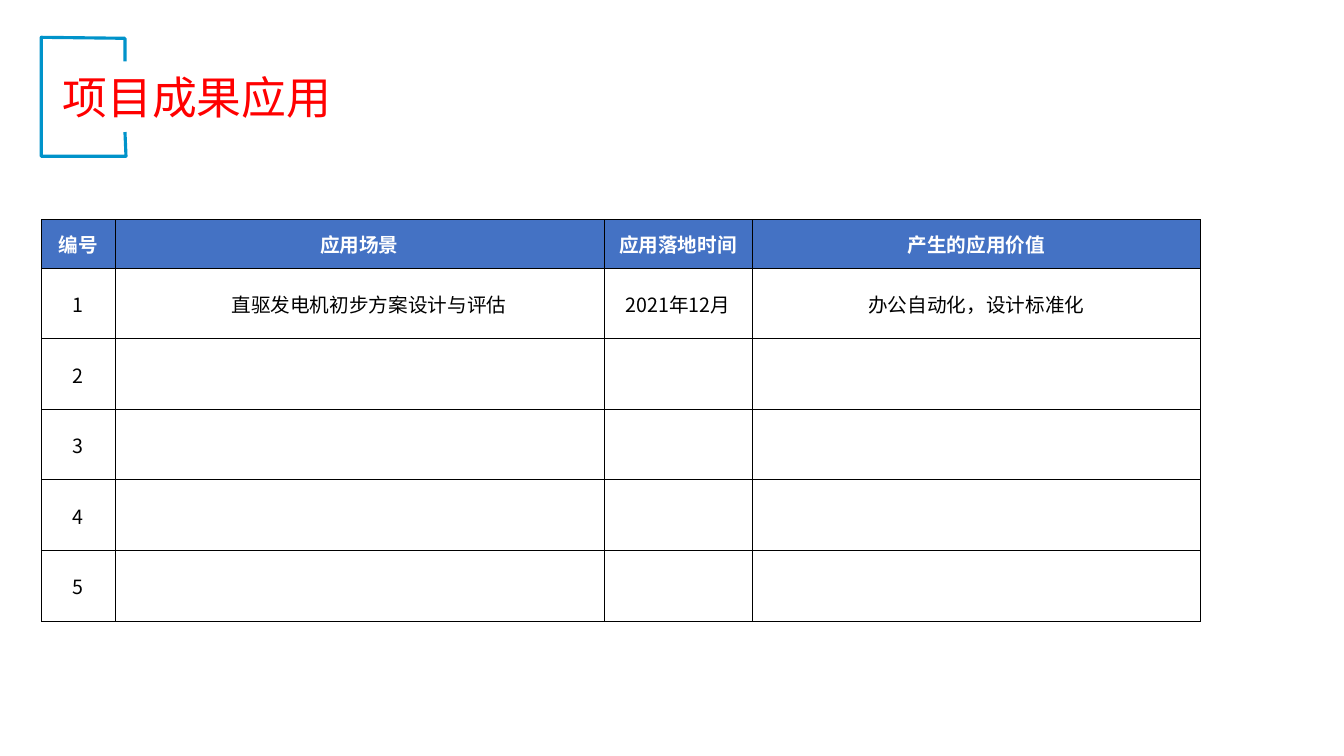
from lxml.etree import SubElement
from pptx import Presentation
from pptx.dml.color import RGBColor
from pptx.enum.text import MSO_ANCHOR, PP_ALIGN
from pptx.oxml.ns import qn
from pptx.util import Inches, Pt

# Content
FONT = "Noto Sans CJK SC"
TITLE = "项目成果应用"
HEADERS = ["编号", "应用场景", "应用落地时间", "产生的应用价值"]
APPLICATIONS = [("直驱发电机初步方案设计与评估", "2021年12月", "办公自动化，设计标准化")]
ROW_COUNT = 5

# Layout in inches
LEFT = 0.41
TABLE_TOP = 2.18
COLUMN_WIDTHS = [0.73, 4.85, 1.47, 4.45]
HEADER_HEIGHT, ROW_HEIGHT = 0.48, 0.7
SCENARIO_INDENT = 0.2
FRAME_POINTS = [(1.24, 1.31), (1.25, 1.55), (LEFT, 1.55),
                (LEFT, 0.37), (1.24, 0.38), (1.24, 0.61)]


def color(value):
    return RGBColor.from_string(value)


def add_text(para, text, size, text_color, bold=False):
    span = para.add_run()
    span.text = text
    span.font.size = Pt(size)
    span.font.bold = bold
    span.font.name = FONT
    span.font.color.rgb = color(text_color)
    SubElement(span.font._element, qn("a:ea"), typeface=FONT)


def add_borders(cell, top_width):
    properties = cell._tc.get_or_add_tcPr()
    for side, width in (("L", 0.5), ("R", 0.5), ("T", top_width), ("B", 0.5)):
        line = SubElement(properties, qn(f"a:ln{side}"), w=str(Pt(width)))
        fill = SubElement(line, qn("a:solidFill"))
        SubElement(fill, qn("a:srgbClr"), val="000000")


def add_frame(page):
    points = [(Inches(x), Inches(y)) for x, y in FRAME_POINTS]
    builder = page.shapes.build_freeform(*points[0])
    builder.add_line_segments(points[1:], close=False)
    frame = builder.convert_to_shape()
    frame.shadow.inherit = False
    frame.fill.background()
    frame.line.color.rgb = color("0093CA")
    frame.line.width = Pt(2.25)


def add_title(page):
    title = page.shapes.title
    title.left, title.top = Inches(0.52), Inches(0.64)
    title.width, title.height = Inches(9.75), Inches(0.64)
    title.text_frame.vertical_anchor = MSO_ANCHOR.MIDDLE
    para = title.text_frame.paragraphs[0]
    para.alignment = PP_ALIGN.LEFT
    add_text(para, TITLE, 32, "FF0000")


def add_application_table(page):
    rows = [HEADERS]
    for index in range(ROW_COUNT):
        details = APPLICATIONS[index] if index < len(APPLICATIONS) else ("", "", "")
        rows.append([str(index + 1), *details])

    heights = [HEADER_HEIGHT] + [ROW_HEIGHT] * ROW_COUNT
    table = page.shapes.add_table(
        len(rows), len(HEADERS), Inches(LEFT), Inches(TABLE_TOP),
        Inches(sum(COLUMN_WIDTHS)), Inches(sum(heights))).table
    for column, width in zip(table.columns, COLUMN_WIDTHS):
        column.width = Inches(width)

    for row_index, (values, height) in enumerate(zip(rows, heights)):
        table.rows[row_index].height = Inches(height)
        is_header = row_index == 0
        for column_index, value in enumerate(values):
            cell = table.cell(row_index, column_index)
            cell.vertical_anchor = MSO_ANCHOR.MIDDLE
            cell.margin_left = cell.margin_right = cell.margin_top = Inches(0.01)
            cell.margin_bottom = 0
            add_borders(cell, 1 if is_header else 0.5)
            if is_header:
                cell.fill.solid()
                cell.fill.fore_color.rgb = color("4472C4")
            else:
                cell.fill.background()
                if column_index == 1:
                    cell.margin_left = Inches(SCENARIO_INDENT)
            para = cell.text_frame.paragraphs[0]
            para.alignment = PP_ALIGN.CENTER
            if value:
                add_text(para, value, 14, "FFFFFF" if is_header else "000000", is_header)


def main():
    deck = Presentation()
    deck.slide_width, deck.slide_height = Inches(13.33), Inches(7.5)
    page = deck.slides.add_slide(deck.slide_layouts[5])
    add_frame(page)
    add_title(page)
    add_application_table(page)
    deck.save("out.pptx")


if __name__ == "__main__":
    main()
